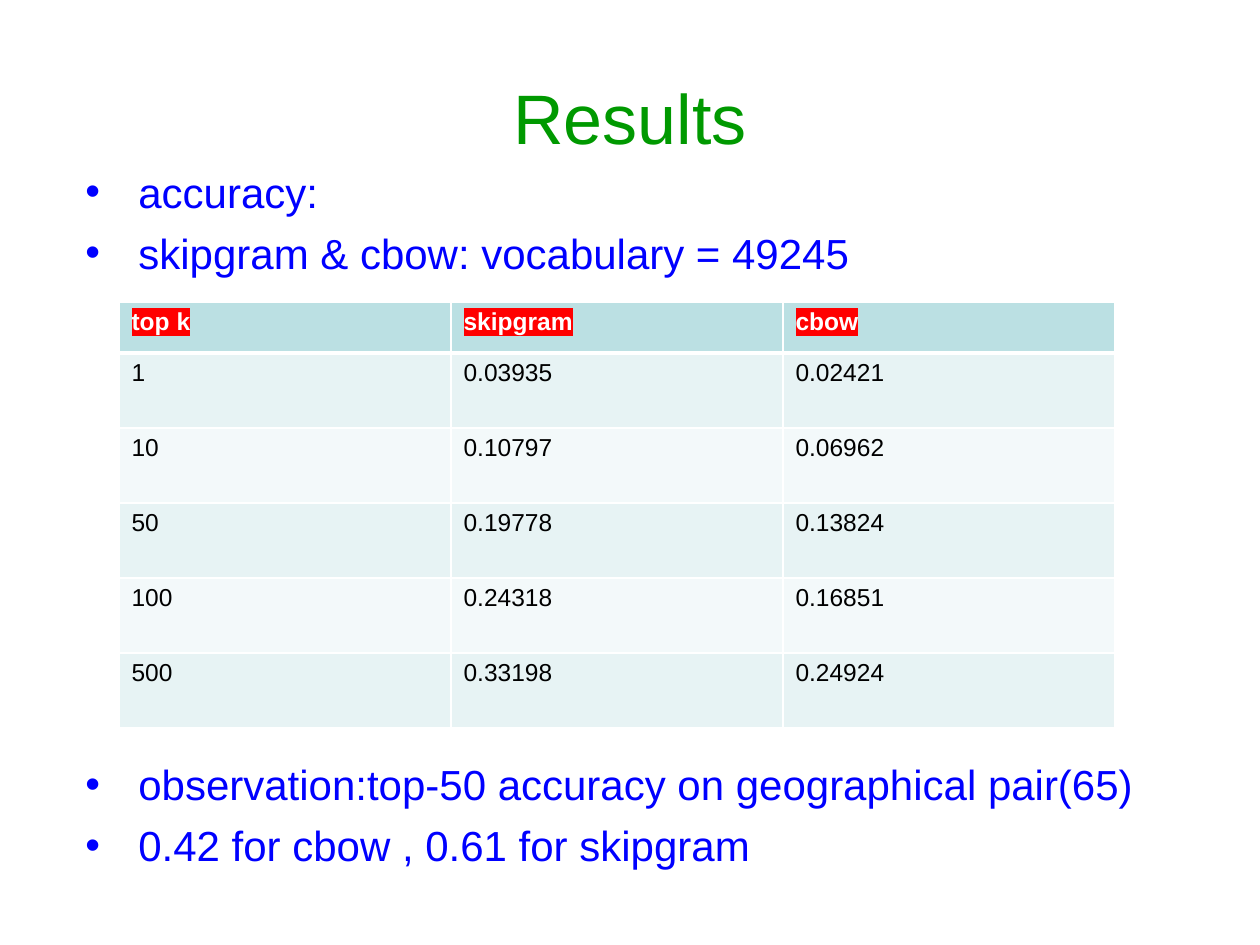
from dataclasses import dataclass

from lxml import etree
from pptx import Presentation
from pptx.dml.color import RGBColor
from pptx.enum.text import MSO_ANCHOR, PP_ALIGN
from pptx.oxml.ns import qn
from pptx.util import Pt

EMU_PER_PIXEL = 914400 / 126
TITLE_ONLY = 5
CENTER, LEFT = PP_ALIGN.CENTER, PP_ALIGN.LEFT
MIDDLE = MSO_ANCHOR.MIDDLE


@dataclass(frozen=True)
class Theme:
    """Colours, font and type sizes of the slide."""
    font: str = "Arial"
    title: str = "009900"
    body: str = "0000FF"
    header_text: str = "FFFFFF"
    highlight: str = "FF0000"
    cell_text: str = "000000"
    header_fill: str = "BBE0E3"
    bands: tuple = ("E7F3F4", "F3F9FA")
    border: str = "FFFFFF"
    title_size: int = 40
    body_size: int = 24
    cell_size: int = 14


THEME = Theme()
BULLETS = [
    ("accuracy:", 0),
    ("skipgram & cbow: vocabulary = 49245", 6),
    ("observation:top-50 accuracy on geographical pair(65)", 275),
    ("0.42 for cbow , 0.61 for skipgram", 6),
]
ROWS = [
    ("top k", "skipgram", "cbow"),
    ("1", "0.03935", "0.02421"),
    ("10", "0.10797", "0.06962"),
    ("50", "0.19778", "0.13824"),
    ("100", "0.24318", "0.16851"),
    ("500", "0.33198", "0.24924"),
]


def px(value):
    """Turn pixels into EMU."""
    return round(value * EMU_PER_PIXEL)


def add_color(parent, tag, color):
    """Append an element holding one RGB colour and return it."""
    element = etree.SubElement(parent, qn(tag))
    etree.SubElement(element, qn("a:srgbClr"), val=color)
    return element


def write_text(paragraph, text, size, color, bold=False, align=LEFT, highlight=None):
    """Write one formatted run into a paragraph."""
    paragraph.alignment = align
    run = paragraph.add_run()
    run.text = text
    run.font.size = Pt(size)
    run.font.bold = bold
    run.font.color.rgb = RGBColor.from_string(color)
    if highlight:
        add_color(run.font._element, "a:highlight", highlight)
    run.font.name = THEME.font


def add_title(slide, box, text):
    """Place and format the title placeholder."""
    title = slide.shapes.title
    title.left, title.top, title.width, title.height = map(px, box)
    title.text_frame.vertical_anchor = MIDDLE
    write_text(title.text_frame.paragraphs[0], text, THEME.title_size,
               THEME.title, align=CENTER)


def add_bullets(slide, box, items):
    """Add a bulleted list of texts with the space before each in points."""
    frame = slide.shapes.add_textbox(*map(px, box)).text_frame
    frame.word_wrap = True
    for index, (text, space) in enumerate(items):
        paragraph = frame.add_paragraph() if index else frame.paragraphs[0]
        paragraph.space_before = Pt(space)
        properties = paragraph._p.get_or_add_pPr()
        properties.set("marL", str(px(63)))
        properties.set("indent", str(px(-53)))
        add_color(properties, "a:buClr", THEME.body)
        etree.SubElement(properties, qn("a:buFont"), typeface=THEME.font)
        etree.SubElement(properties, qn("a:buChar"), char="•")
        write_text(paragraph, text, THEME.body_size, THEME.body)


def format_cell(cell, fill, top, bottom):
    """Set the fill and the border widths of a cell."""
    properties = cell._tc.get_or_add_tcPr()
    for tag, width in (("a:lnL", 1), ("a:lnR", 1), ("a:lnT", top), ("a:lnB", bottom)):
        line = etree.SubElement(properties, qn(tag), w=str(Pt(width)))
        add_color(line, "a:solidFill", THEME.border)
    cell.fill.solid()
    cell.fill.fore_color.rgb = RGBColor.from_string(fill)


def add_results_table(slide, box, rows, header_height):
    """Add the table with a highlighted header and banded body rows."""
    _, _, width, height = box
    columns = len(rows[0])
    body_height = (height - header_height) / (len(rows) - 1)
    table = slide.shapes.add_table(len(rows), columns, *map(px, box)).table
    for column in table.columns:
        column.width = px(width / columns)
    for row_index, values in enumerate(rows):
        header = row_index == 0
        table.rows[row_index].height = px(header_height if header else body_height)
        fill = THEME.header_fill if header else THEME.bands[(row_index - 1) % 2]
        for column_index, value in enumerate(values):
            cell = table.cell(row_index, column_index)
            format_cell(cell, fill, top=3 if row_index == 1 else 1,
                        bottom=3 if header else 1)
            write_text(cell.text_frame.paragraphs[0], value, THEME.cell_size,
                       THEME.header_text if header else THEME.cell_text,
                       bold=header, highlight=THEME.highlight if header else None)


def build_results_slide(presentation):
    """Build the slide with title, bullets and table."""
    slide = presentation.slides.add_slide(presentation.slide_layouts[TITLE_ONLY])
    add_title(slide, (63, 38, 1134, 157), "Results")
    add_bullets(slide, (63, 160, 1134, 711), BULLETS)
    add_results_table(slide, (119, 302, 996, 426), ROWS, header_height=51)


def main():
    """Create and save the presentation."""
    presentation = Presentation()
    presentation.slide_width, presentation.slide_height = px(1260), px(945)
    build_results_slide(presentation)
    presentation.save("out.pptx")


main()
